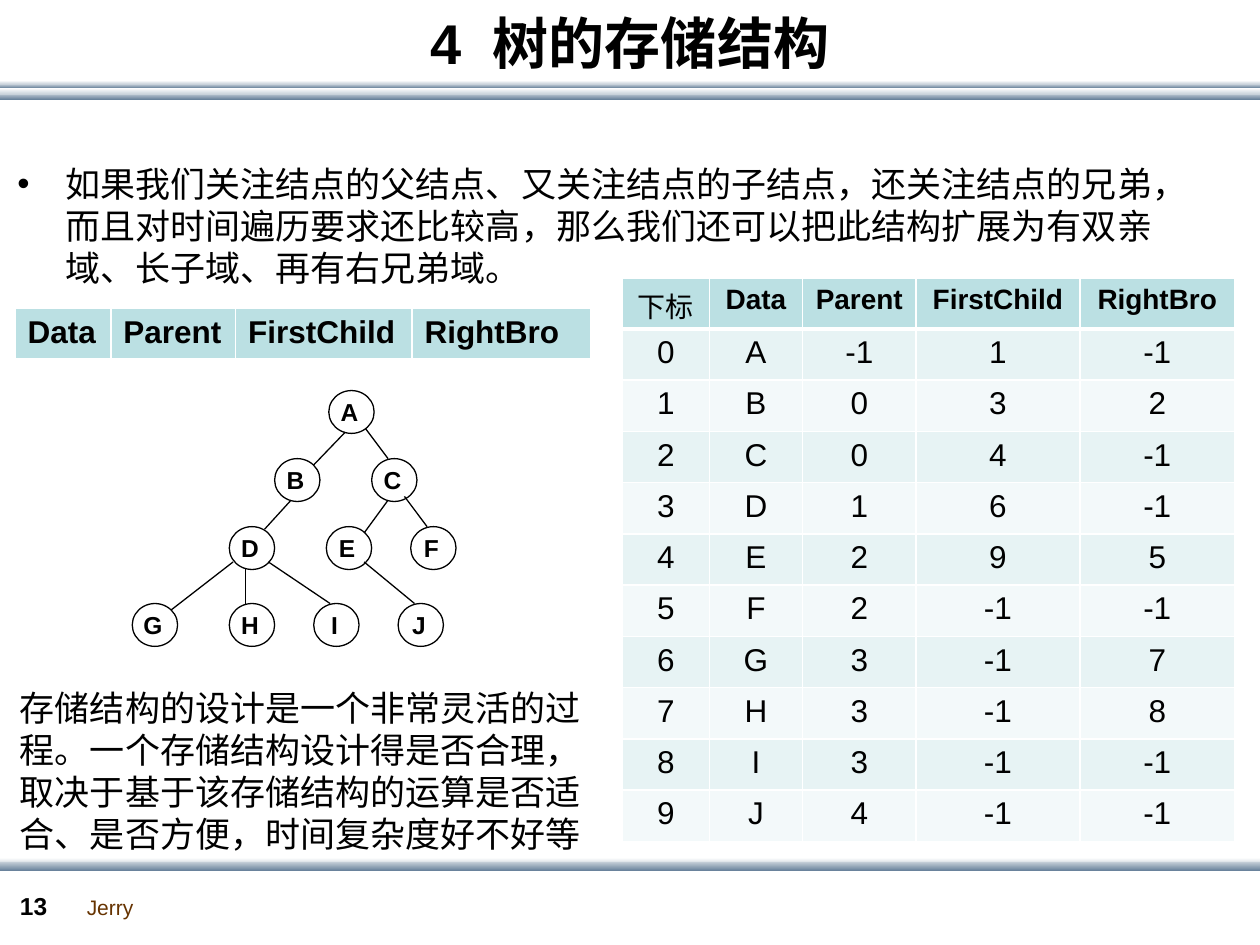
from lxml import etree
from pptx import Presentation
from pptx import util as u
from pptx.dml.color import RGBColor
from pptx.enum import shapes, text
from pptx.oxml.ns import qn

LATIN, CJK = "Arial", "Noto Sans CJK SC"
BLACK, WHITE = "000000", "FFFFFF"
PALE, STEEL = "C8D1DA", "6A839C"
HEADER, BANDS = "BBE0E3", ("E7F3F4", "F3F9FA")


def color(value):
    return RGBColor.from_string(value)


def assign(target, values):
    for key, value in values.items():
        setattr(target, key, value)


class SlideBuilder:
    def __init__(self, slide):
        self.slide = slide

    def add_text(self, frame, content, size, font=LATIN, ink=BLACK, bold=False,
                 align=text.PP_ALIGN.LEFT, spacing=None):
        paragraph = frame.paragraphs[0]
        assign(paragraph, {"alignment": align, "line_spacing": spacing})
        run = paragraph.add_run()
        run.text = content
        assign(run.font, {"name": font, "size": u.Pt(size), "bold": bold})
        run.font.color.rgb = color(ink)
        latin = run.font._element.find(qn("a:latin"))
        east_asian = etree.Element(qn("a:ea"), typeface=CJK)
        latin.addnext(east_asian)
        return paragraph

    def title(self, content, width, height):
        title = self.slide.shapes.title
        assign(title, {"left": 0, "top": 0, "width": u.Inches(width),
                       "height": u.Inches(height)})
        assign(title.text_frame, {"vertical_anchor": text.MSO_ANCHOR.MIDDLE,
                                  "word_wrap": True})
        self.add_text(title.text_frame, content, 32, bold=True,
                      align=text.PP_ALIGN.CENTER)

    def band(self, top, height, start, end):
        band = self.slide.shapes.add_shape(
            shapes.MSO_SHAPE.RECTANGLE, 0, u.Inches(top),
            u.Inches(10.01), u.Inches(height))
        band.shadow.inherit = False
        band.line.fill.background()
        band.fill.gradient()
        band.fill.gradient_angle = 270
        for stop, value in zip(band.fill.gradient_stops, (start, end)):
            stop.color.rgb = color(value)

    def text_box(self, box, content, size, wrap=True, top_margin=0.05, **style):
        holder = self.slide.shapes.add_textbox(*map(u.Inches, box))
        assign(holder.text_frame, {"word_wrap": wrap,
                                   "margin_top": u.Inches(top_margin)})
        return self.add_text(holder.text_frame, content, size, **style)

    def bullet(self, paragraph, indent):
        props = paragraph._p.get_or_add_pPr()
        props.set("marL", str(u.Inches(indent)))
        props.set("indent", str(-u.Inches(indent)))
        etree.SubElement(props, qn("a:buFont"), typeface=LATIN)
        etree.SubElement(props, qn("a:buChar"), char="•")

    def borders(self, cell, widths):
        props = cell._tc.get_or_add_tcPr()
        for position, (side, width) in enumerate(widths.items()):
            line = etree.Element(qn(f"a:{side}"), w=str(u.Pt(width)))
            fill = etree.SubElement(line, qn("a:solidFill"))
            etree.SubElement(fill, qn("a:srgbClr"), val=WHITE)
            props.insert(position, line)

    def table(self, left, top, widths, heights, rows, header_size, align):
        frame = self.slide.shapes.add_table(
            len(rows), len(widths), u.Inches(left), u.Inches(top),
            u.Inches(sum(widths)), u.Inches(sum(heights)))
        table = frame.table
        assign(table, {"first_row": False, "horz_banding": False})
        for column, width in zip(table.columns, widths):
            column.width = u.Inches(width)
        for r, (row, height) in enumerate(zip(rows, heights)):
            table.rows[r].height = u.Inches(height)
            for c, value in enumerate(row):
                cell = table.cell(r, c)
                cell.fill.solid()
                cell.fill.fore_color.rgb = color(BANDS[(r - 1) % 2] if r else HEADER)
                cell.margin_bottom = u.Inches(0.05 if r else 0.03)
                self.borders(cell, {"lnL": 1, "lnR": 1, "lnT": 3 if r == 1 else 1,
                                    "lnB": 1 if r else 3})
                is_latin = value.isascii()
                self.add_text(cell.text_frame, value, 18 if r else header_size,
                              font=LATIN if is_latin else CJK,
                              bold=r == 0 and is_latin, align=align)

    def node(self, label, left, top):
        node = self.slide.shapes.add_shape(
            shapes.MSO_SHAPE.OVAL, u.Inches(left), u.Inches(top),
            u.Inches(0.36), u.Inches(0.34))
        node.shadow.inherit = False
        node.fill.background()
        node.line.color.rgb = color(BLACK)
        node.line.width = u.Pt(0.75)
        assign(node.text_frame, {
            "margin_left": 0, "margin_right": u.Inches(0.03), "margin_top": 0,
            "margin_bottom": 0, "word_wrap": False,
            "vertical_anchor": text.MSO_ANCHOR.MIDDLE})
        self.add_text(node.text_frame, label, 14, bold=True,
                      align=text.PP_ALIGN.CENTER)

    def edge(self, *ends):
        edge = self.slide.shapes.add_connector(
            shapes.MSO_CONNECTOR.STRAIGHT, *map(u.Inches, ends))
        edge.line.color.rgb = color(BLACK)
        edge.line.width = u.Pt(0.75)
        etree.SubElement(edge._element.spPr, qn("a:effectLst"))


def main():
    deck = Presentation()
    assign(deck, {"slide_width": u.Inches(10), "slide_height": u.Inches(7.5)})
    page = SlideBuilder(deck.slides.add_slide(deck.slide_layouts[5]))

    for band in ((0.74, 0.05, PALE, STEEL), (0.67, 0.03, PALE, STEEL),
                 (0.7, 0.05, WHITE, PALE), (0.64, 0.03, WHITE, PALE),
                 (6.81, 0.05, WHITE, PALE), (6.84, 0.07, PALE, STEEL)):
        page.band(*band)
    page.text_box((0.59, 7.05, 0.58, 0.3), "Jerry", 12, wrap=False, ink="663300")
    page.text_box((0.06, 7.02, 0.55, 0.33), "13", 14, bold=True)
    page.title("4  树的存储结构", 10, 0.67)

    prose = {"size": 20, "font": CJK, "spacing": u.Pt(24), "top_margin": 0.08}
    extension = page.text_box(
        (0.04, 1.21, 9.21, 1.3),
        "如果我们关注结点的父结点、又关注结点的子结点，还关注结点的兄弟，"
        "而且对时间遍历要求还比较高，那么我们还可以把此结构扩展为有双亲域、"
        "长子域、再有右兄弟域。", **prose)
    page.bullet(extension, 0.38)
    page.text_box(
        (0.06, 5.37, 4.73, 1.45),
        "存储结构的设计是一个非常灵活的过程。一个存储结构设计得是否合理，"
        "取决于基于该存储结构的运算是否适合、是否方便，时间复杂度好不好等", **prose)

    fields = ["Data", "Parent", "FirstChild", "RightBro"]
    page.table(0.12, 2.45, (0.76, 0.99, 1.4, 1.42), (0.41,), [fields], 18,
               text.PP_ALIGN.LEFT)
    links = [(-1, 1, -1), (0, 3, 2), (0, 4, -1), (1, 6, -1), (2, 9, 5),
             (2, -1, -1), (3, -1, 7), (3, -1, 8), (3, -1, -1), (4, -1, -1)]
    records = [[str(index), label, *map(str, link)]
               for index, (label, link) in enumerate(zip("ABCDEFGHIJ", links))]
    record_height = 4.07 / len(records)
    page.table(4.94, 2.21, (0.69, 0.74, 0.9, 1.3, 1.23),
               [0.4] + [record_height] * len(records),
               [["下标"] + fields] + records, 16, text.PP_ALIGN.CENTER)

    levels = {3.1: {"A": 2.61}, 3.64: {"B": 2.18, "C": 2.95},
              4.18: {"D": 1.82, "E": 2.59, "F": 3.26},
              4.79: {"G": 1.05, "H": 1.82, "I": 2.49, "J": 3.16}}
    for top, nodes in levels.items():
        for label, left in nodes.items():
            page.node(label, left, top)
    for edge in ((2.31, 3.97, 2.1, 4.2), (2.49, 3.69, 2.74, 3.43),
                 (3.08, 3.64, 2.9, 3.4), (1.36, 4.84, 1.85, 4.46),
                 (1.95, 4.51, 1.95, 4.79), (2.62, 4.79, 2.13, 4.46),
                 (2.89, 4.23, 3.08, 3.97), (3.21, 3.94, 3.39, 4.18),
                 (3.29, 4.79, 2.89, 4.46)):
        page.edge(*edge)
    deck.save("out.pptx")


if __name__ == "__main__":
    main()
